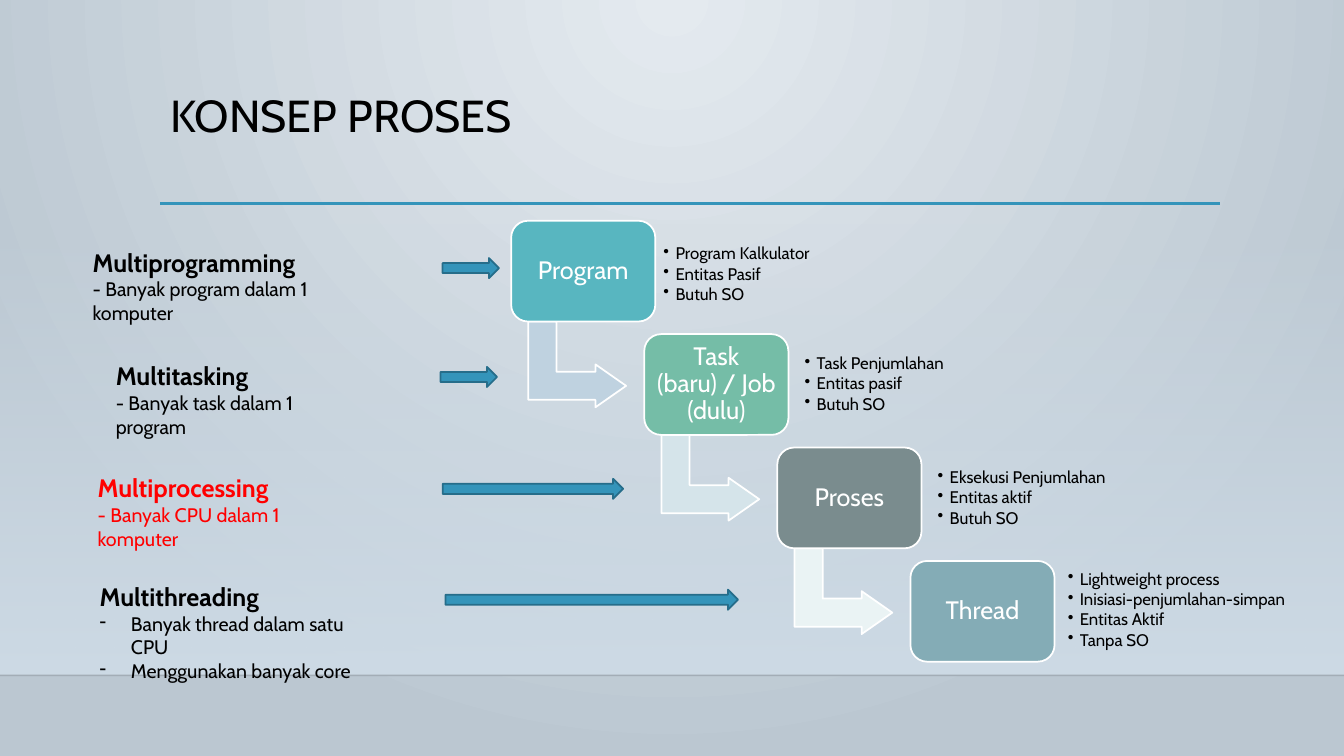
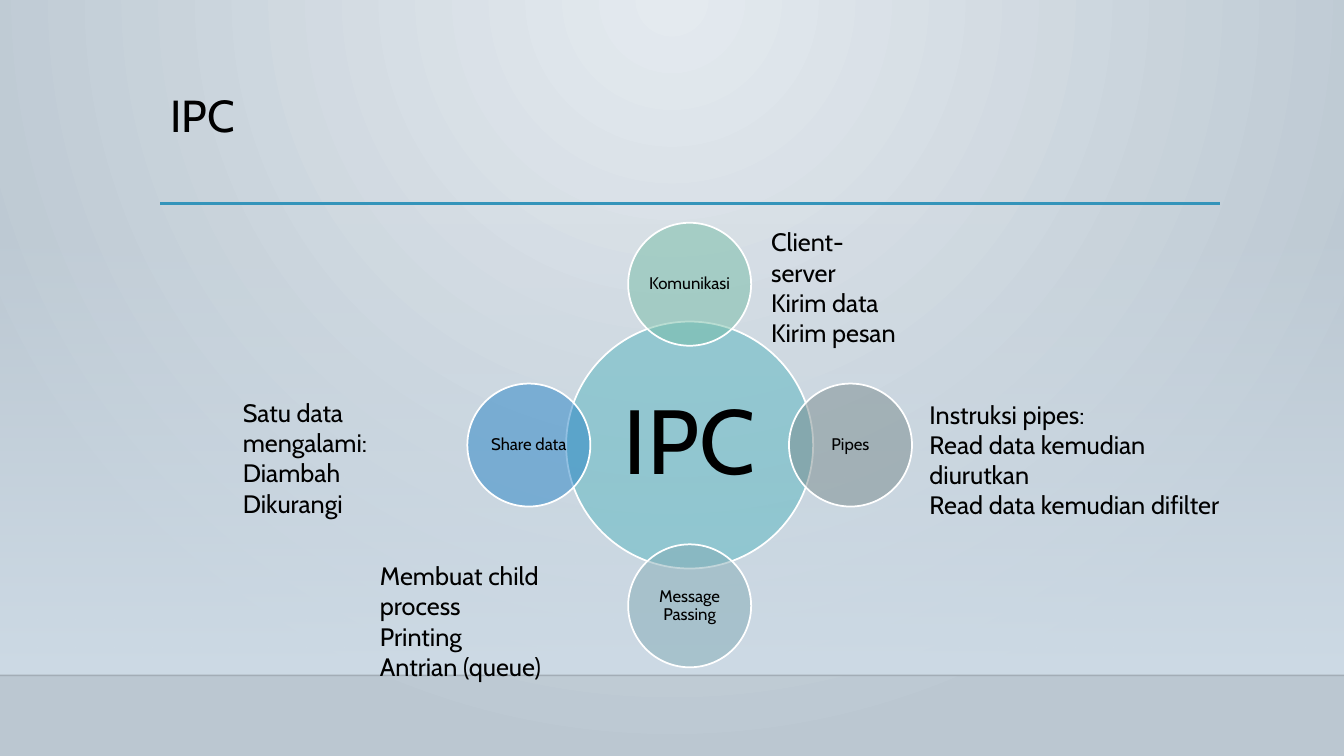
"""Two slides on process concepts: from program to thread, and inter-process communication."""
from lxml import etree
from pptx import Presentation
from pptx.dml.color import RGBColor
from pptx.enum import shapes, text
from pptx.oxml import ns
from pptx.util import Inches, Pt

FONT = "Cabin"
BLACK = RGBColor(0x00, 0x00, 0x00)
WHITE = RGBColor(0xFF, 0xFF, 0xFF)
RED = RGBColor(0xFF, 0x00, 0x00)
ACCENT = RGBColor(0x34, 0x94, 0xBA)
ACCENT_DARK = RGBColor(0x26, 0x6D, 0x8A)
TEAL = RGBColor(0x58, 0xB6, 0xC0)
GREEN = RGBColor(0x75, 0xBD, 0xA7)
GREY = RGBColor(0x7A, 0x8C, 0x8E)
STEEL = RGBColor(0x84, 0xAC, 0xB6)
BLUE = RGBColor(0x26, 0x83, 0xC6)
BEND_1 = RGBColor(0xBF, 0xD2, 0xE0)
BEND_2 = RGBColor(0xD5, 0xE4, 0xEA)
BEND_3 = RGBColor(0xEA, 0xF3, 0xF4)
GLOW = RGBColor(0xE4, 0xEA, 0xEF)
EDGE = RGBColor(0xBB, 0xC7, 0xD1)
HAZE = RGBColor(0xCE, 0xDB, 0xE6)
MIDDLE = text.MSO_ANCHOR.MIDDLE
CENTER = text.PP_ALIGN.CENTER
KIND = shapes.MSO_SHAPE


def write(shape, lines, size=18, color=BLACK, lead=None, align=text.PP_ALIGN.LEFT,
          anchor=text.MSO_ANCHOR.TOP, inset=None, spacing=1.0, after=0, bullet=None, indent=0.0):
    frame = shape.text_frame
    frame.word_wrap = True
    frame.vertical_anchor = anchor
    if inset is not None:
        frame.margin_left = frame.margin_right = Inches(inset)
        frame.margin_top = frame.margin_bottom = Inches(inset)
    for number, line in enumerate(lines):
        is_lead = bool(lead) and number == 0
        para = frame.paragraphs[0] if number == 0 else frame.add_paragraph()
        para.alignment = align
        para.line_spacing = spacing
        para.space_after = Pt(after)
        run = para.add_run()
        run.text = line
        run.font.name = FONT
        run.font.size = Pt(lead if is_lead else size)
        run.font.bold = is_lead
        run.font.color.rgb = color
        if bullet and not is_lead:
            props = para._p.get_or_add_pPr()
            props.set("marL", str(Inches(indent)))
            props.set("indent", str(-Inches(indent)))
            etree.SubElement(props, ns.qn("a:buChar")).set("char", bullet)


def draw(slide, kind, left, top, width, height, fill, line=WHITE, alpha=None):
    shape = slide.shapes.add_shape(kind, Inches(left), Inches(top), Inches(width), Inches(height))
    shape.shadow.inherit = False
    shape.fill.solid()
    shape.fill.fore_color.rgb = fill
    shape.line.color.rgb = line
    shape.line.width = Pt(1.25)
    if alpha:
        tint = shape.element.spPr.find(ns.qn("a:solidFill"))[0]
        etree.SubElement(tint, ns.qn("a:alpha")).set("val", str(alpha * 1000))
    return shape


deck = Presentation()
deck.slide_width = Inches(13.33)
deck.slide_height = Inches(7.5)

backdrop = deck.slide_master.background.fill
backdrop.gradient()
for stop, shade in zip(backdrop.gradient_stops, (GLOW, EDGE)):
    stop.color.rgb = shade
gradient = deck.slide_master.element.find(".//" + ns.qn("a:gradFill"))
gradient.remove(gradient.find(ns.qn("a:lin")))
radial = etree.SubElement(gradient, ns.qn("a:path"))
radial.set("path", "circle")
focus = etree.SubElement(radial, ns.qn("a:fillToRect"))
for side, share in (("l", 43000), ("t", 0), ("r", 43000), ("b", 100000)):
    focus.set(side, str(share))

pages = []
for heading in ("KONSEP PROSES", "IPC"):
    page = deck.slides.add_slide(deck.slide_layouts[6])
    pages.append(page)
    haze = draw(page, KIND.RECTANGLE, 0, 2.21, 13.33, 4.49, HAZE)
    haze.line.fill.background()
    haze.fill.gradient()
    haze.fill.gradient_angle = 270
    for stop in haze.fill.gradient_stops:
        stop.color.rgb = HAZE
    clear = haze.element.spPr.find(".//" + ns.qn("a:srgbClr"))
    etree.SubElement(clear, ns.qn("a:alpha")).set("val", "0")
    for start, end, level, shade, weight, alpha in (
            (0, 13.33, 6.7, BLACK, 1, 20), (1.59, 12.1, 2.02, ACCENT, 2.5, 100)):
        rule = page.shapes.add_connector(shapes.MSO_CONNECTOR.STRAIGHT, Inches(start), Inches(level),
                                         Inches(end), Inches(level))
        rule.line.color.rgb = shade
        rule.line.width = Pt(weight)
        tint = rule.element.spPr.find(".//" + ns.qn("a:srgbClr"))
        etree.SubElement(tint, ns.qn("a:alpha")).set("val", str(alpha * 1000))
        etree.SubElement(rule.element.spPr, ns.qn("a:effectLst"))
    title = page.shapes.add_textbox(Inches(1.59), Inches(0.88), Inches(10.5), Inches(1.15))
    write(title, [heading], size=32, spacing=0.9)

concept, ipc = pages

stages = (
    ("Program", TEAL, BEND_1, (6.53, 2.32, 1.59, 0.81),
     ("Program Kalkulator", "Entitas Pasif", "Butuh SO")),
    ("Task (baru) / Job (dulu)", GREEN, BEND_2, (7.93, 3.41, 1.67, 0.81),
     ("Task Penjumlahan", "Entitas pasif", "Butuh SO")),
    ("Proses", GREY, BEND_3, (9.25, 4.54, 3.26, 0.81),
     ("Eksekusi Penjumlahan", "Entitas aktif", "Butuh SO")),
    ("Thread", STEEL, None, (10.54, 5.58, 2.79, 0.95),
     ("Lightweight process", "Inisiasi-penjumlahan-simpan", "Entitas Aktif", "Tanpa SO")),
)
for step, (name, shade, bend_shade, place, traits) in enumerate(stages):
    left, top = 5.07 + 1.32 * step, 2.19 + 1.125 * step
    if bend_shade:
        bend = draw(concept, KIND.BENT_UP_ARROW, left + 0.23, top + 0.94, 0.85, 0.97, bend_shade)
        bend.rotation = 90
        for index, ratio in enumerate((0.328, 0.25, 0.358)):
            bend.adjustments[index] = ratio
    stage = draw(concept, KIND.ROUNDED_RECTANGLE, left, top, 1.43, 1, shade)
    write(stage, [name], color=WHITE, align=CENTER, anchor=MIDDLE, inset=0.07, spacing=0.9)
    trait_list = concept.shapes.add_textbox(*map(Inches, place))
    write(trait_list, traits, size=12, anchor=MIDDLE, inset=0.05, spacing=0.9, after=1.5,
          bullet="•", indent=0.12)

modes = (
    ((0.82, 2.4, 3.05, 0.64), BLACK, None, (4.39, 2.56, 0.56),
     ("Multiprogramming", "- Banyak program dalam 1 komputer")),
    ((1.05, 3.53, 2.6, 0.64), BLACK, None, (4.37, 3.64, 0.56),
     ("Multitasking", "- Banyak task dalam 1 program")),
    ((0.87, 4.64, 2.75, 0.64), RED, None, (4.39, 4.75, 1.79),
     ("Multiprocessing", "- Banyak CPU dalam 1 komputer")),
    ((0.89, 5.72, 2.92, 0.88), BLACK, "-", (4.42, 5.85, 2.9),
     ("Multithreading", "Banyak thread dalam satu CPU", "Menggunakan banyak core")),
)
for place, shade, dash, pointer, lines in modes:
    mode = concept.shapes.add_textbox(*map(Inches, place))
    write(mode, lines, size=14, lead=18, color=shade, bullet=dash, indent=0.31)
    draw(concept, KIND.RIGHT_ARROW, *pointer, 0.2, ACCENT, line=ACCENT_DARK)

hub_x, hub_y, orbit = 6.84, 4.415, 1.595
circles = (
    ("IPC", 0, 0, 2.45, TEAL, 65),
    ("Komunikasi", 0, -1, 1.22, GREEN, 12),
    ("Pipes", 1, 0, 1.22, GREY, 12),
    ("Message Passing", 0, 1, 1.22, STEEL, 12),
    ("Share data", -1, 0, 1.22, BLUE, 12),
)
for name, across, down, width, shade, size in circles:
    circle = draw(ipc, KIND.OVAL, hub_x + across * orbit - width / 2, hub_y + down * orbit - width / 2,
                  width, width, shade, alpha=50)
    write(circle, [name], size=size, align=CENTER, anchor=MIDDLE, inset=0.01, spacing=0.9)

remarks = (
    ((7.55, 2.2, 1.5), ("Client-server", "Kirim data", "Kirim pesan")),
    ((9.12, 3.91, 3.22), ("Instruksi pipes:", "Read data kemudian diurutkan",
                          "Read data kemudian difilter")),
    ((2.31, 3.89, 2.3), ("Satu data mengalami:", "Diambah", "Dikurangi")),
    ((3.67, 5.51, 2.5), ("Membuat child process", "Printing", "Antrian (queue)")),
)
for place, lines in remarks:
    remark = ipc.shapes.add_textbox(*map(Inches, place), Inches(1.01))
    write(remark, lines)

deck.save("out.pptx")
